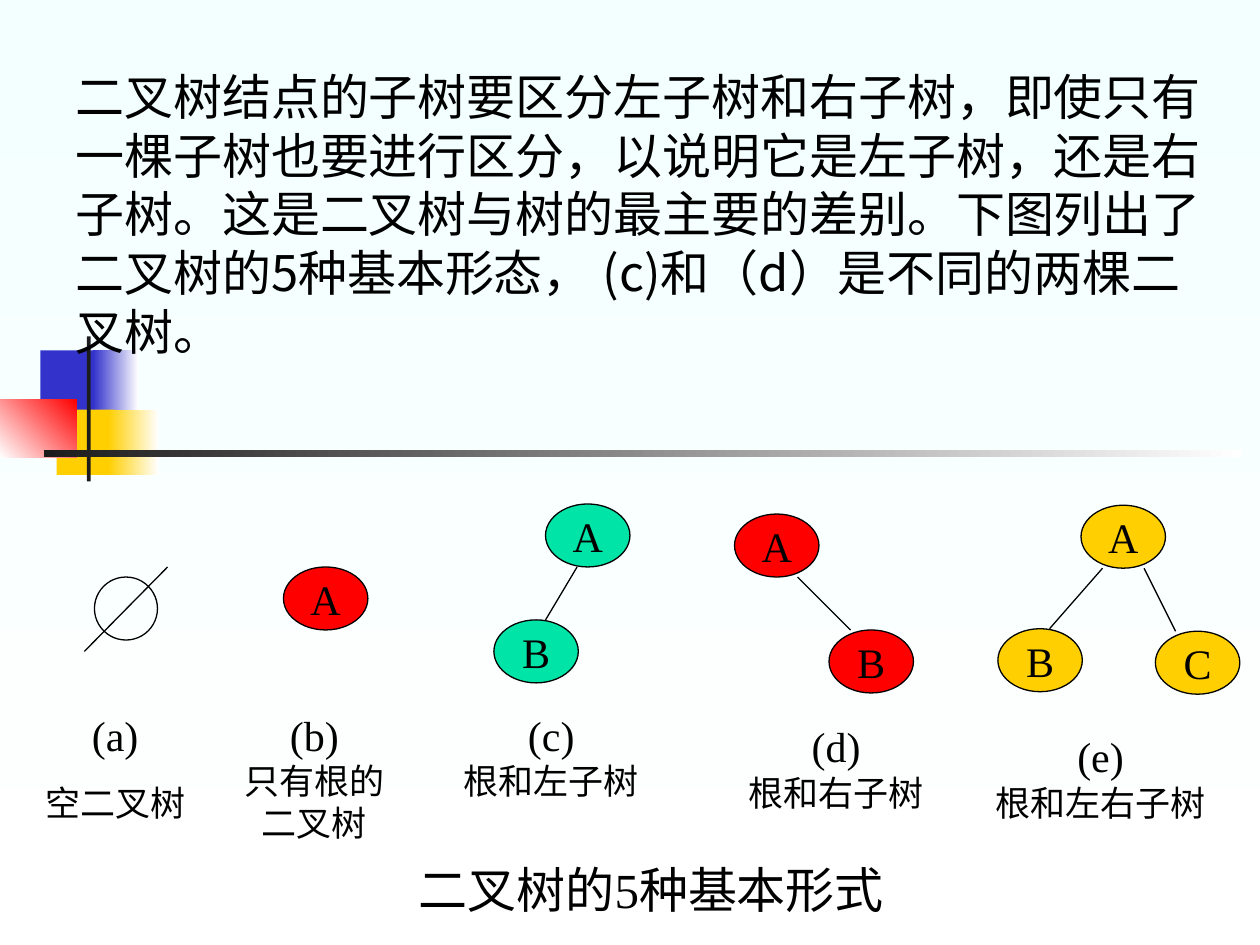
from dataclasses import dataclass

from lxml.etree import SubElement
from pptx import Presentation
from pptx.dml.color import RGBColor
from pptx.enum.shapes import MSO_CONNECTOR, MSO_SHAPE
from pptx.enum.text import MSO_ANCHOR, PP_ALIGN
from pptx.oxml.ns import qn
from pptx.util import Inches, Pt


@dataclass(frozen=True)
class Theme:
    black: str = "000000"
    white: str = "FFFFFF"
    sky: str = "F3FFFF"
    blue: str = "3333CC"
    yellow: str = "FFCF01"
    red: str = "FF0000"
    green: str = "00E4A8"
    charcoal: str = "1C1C1C"
    serif: str = "Times New Roman"
    sans: str = "Noto Sans CJK SC"
    heading: int = 28
    label: int = 24
    caption: int = 20
    outline: float = 0.75


THEME = Theme()
NODE_WIDTH, NODE_HEIGHT = 0.67, 0.5


def color(value):
    return RGBColor.from_string(value)


def inches(values):
    return [Inches(value) for value in values]


def fill_gradient(fill, start, end, clockwise_angle):
    fill.gradient()
    fill.gradient_angle = 360 - clockwise_angle
    for stop, value in zip(fill.gradient_stops, (start, end)):
        stop.color.rgb = color(value)


def style_paragraph(para, size, face=THEME.serif, align=PP_ALIGN.CENTER):
    para.alignment = align
    para.font.size = Pt(size)
    para.font.name = face
    para.font.color.rgb = color(THEME.black)
    east_asian = SubElement(para.font._element, qn("a:ea"))
    east_asian.set("typeface", THEME.sans)


def add_text(page, box, lines, wrap=True, anchor=MSO_ANCHOR.TOP, **style):
    """Place one paragraph for each (text, size) pair and return the paragraphs."""
    frame = page.shapes.add_textbox(*inches(box)).text_frame
    frame.word_wrap = wrap
    frame.vertical_anchor = anchor
    frame.text = "\n".join(text for text, _ in lines)
    for para, (_, size) in zip(frame.paragraphs, lines):
        style_paragraph(para, size, **style)
    return frame.paragraphs


def add_rectangle(page, box):
    shape = page.shapes.add_shape(MSO_SHAPE.RECTANGLE, *inches(box))
    shape.shadow.inherit = False
    shape.line.fill.background()
    return shape


def add_ellipse(page, box, fill=None):
    shape = page.shapes.add_shape(MSO_SHAPE.OVAL, *inches(box))
    shape.shadow.inherit = False
    shape.line.color.rgb = color(THEME.black)
    shape.line.width = Pt(THEME.outline)
    if fill:
        shape.fill.solid()
        shape.fill.fore_color.rgb = color(fill)
    else:
        shape.fill.background()
    return shape


def add_line(page, start, end):
    line = page.shapes.add_connector(MSO_CONNECTOR.STRAIGHT, *inches(start + end))
    line.line.color.rgb = color(THEME.black)
    line.line.width = Pt(THEME.outline)
    SubElement(line._element.spPr, qn("a:effectLst"))


def add_ornament(page, left, top):
    """Draw the coloured blocks and the crossed bars."""
    blocks = [
        ((0.32, 0.11, 0.48, 0.52), THEME.blue, None),
        ((0.74, 0.11, 0.36, 0.52), (THEME.white, THEME.blue), 180),
        ((0.45, 0.58, 0.46, 0.52), THEME.yellow, None),
        ((0.86, 0.58, 0.4, 0.52), (THEME.white, THEME.yellow), 180),
        ((0, 0.5, 0.61, 0.46), (THEME.red, THEME.white), 135),
        ((0.69, 0, 0.03, 1.15), THEME.charcoal, None),
        ((0.35, 0.9, 9.51, 0.06), (THEME.white, THEME.charcoal), 180),
    ]
    for (x, y, width, height), paint, angle in blocks:
        block = add_rectangle(page, (left + x, top + y, width, height))
        if angle is None:
            block.fill.solid()
            block.fill.fore_color.rgb = color(paint)
        else:
            fill_gradient(block.fill, *paint, angle)


def add_empty_tree(page, left, top):
    add_ellipse(page, (left + 0.08, top + 0.08, 0.5, 0.5))
    add_line(page, (left + 0.66, top), (left, top + 0.67))


def add_node(page, left, top, name, fill):
    node = add_ellipse(page, (left, top, NODE_WIDTH, NODE_HEIGHT), fill)
    frame = node.text_frame
    frame.word_wrap = False
    frame.vertical_anchor = MSO_ANCHOR.MIDDLE
    frame.text = name
    style_paragraph(frame.paragraphs[0], THEME.label)


def add_tree(page, left, top, fill, children=()):
    """Draw root A at (left, top); each child is (name, x, y, edge start, edge end).

    All child measures are offsets from the root, the edge ones along x only.
    """
    add_node(page, left, top, "A", fill)
    for name, x, y, start, end in children:
        add_node(page, left + x, top + y, name, fill)
        add_line(page, (left + start, top + NODE_HEIGHT), (left + end, top + y))


def add_captions(page):
    captions = [
        ((0.25, 5.58, 1.33, 1.01), "(a)", ["空二叉树"], True),
        ((1.83, 5.58, 1.33, 1.17), "(b)", ["只有根的", "二叉树"], True),
        ((3.58, 5.58, 1.59, 0.84), "(c)", ["根和左子树"], False),
        ((5.84, 5.67, 1.59, 0.84), "(d)", ["根和右子树"], False),
        ((7.8, 5.75, 1.87, 0.84), "(e)", ["根和左右子树"], False),
    ]
    for box, letter, names, wrap in captions:
        lines = [(letter, THEME.label)] + [(name, THEME.caption) for name in names]
        paras = add_text(page, box, lines, wrap)
        if letter == "(a)":
            paras[1].space_before = Pt(12.5)


def main():
    deck = Presentation()
    deck.slide_width, deck.slide_height = Inches(10), Inches(7.5)
    page = deck.slides.add_slide(deck.slide_layouts[6])
    fill_gradient(page.background.fill, THEME.sky, THEME.white, 90)

    add_ornament(page, 0, 2.67)
    statement = (
        "二叉树结点的子树要区分左子树和右子树，即使只有一棵子树也要进行区分，"
        "以说明它是左子树，还是右子树。这是二叉树与树的最主要的差别。"
        "下图列出了二叉树的5种基本形态， (c)和（d）是不同的两棵二叉树。"
    )
    add_text(page, (0.5, 0.33, 9.25, 2.58), [(statement, THEME.heading)],
             anchor=MSO_ANCHOR.BOTTOM, face=THEME.sans, align=PP_ALIGN.LEFT)

    add_empty_tree(page, 0.67, 4.5)
    add_tree(page, 2.25, 4.5, THEME.red)
    add_tree(page, 4.33, 4, THEME.green, [("B", -0.41, 0.92, 0.25, 0)])
    add_tree(page, 5.83, 4.08, THEME.red, [("B", 0.75, 0.92, 0.5, 0.92)])
    add_tree(page, 8.58, 4.01, THEME.yellow,
             [("B", -0.66, 0.98, 0.17, -0.25), ("C", 0.59, 1, 0.5, 0.75)])
    add_captions(page)
    add_text(page, (2.92, 6.77, 4.5, 0.57), [("二叉树的5种基本形式", THEME.heading)])
    deck.save("out.pptx")


if __name__ == "__main__":
    main()
